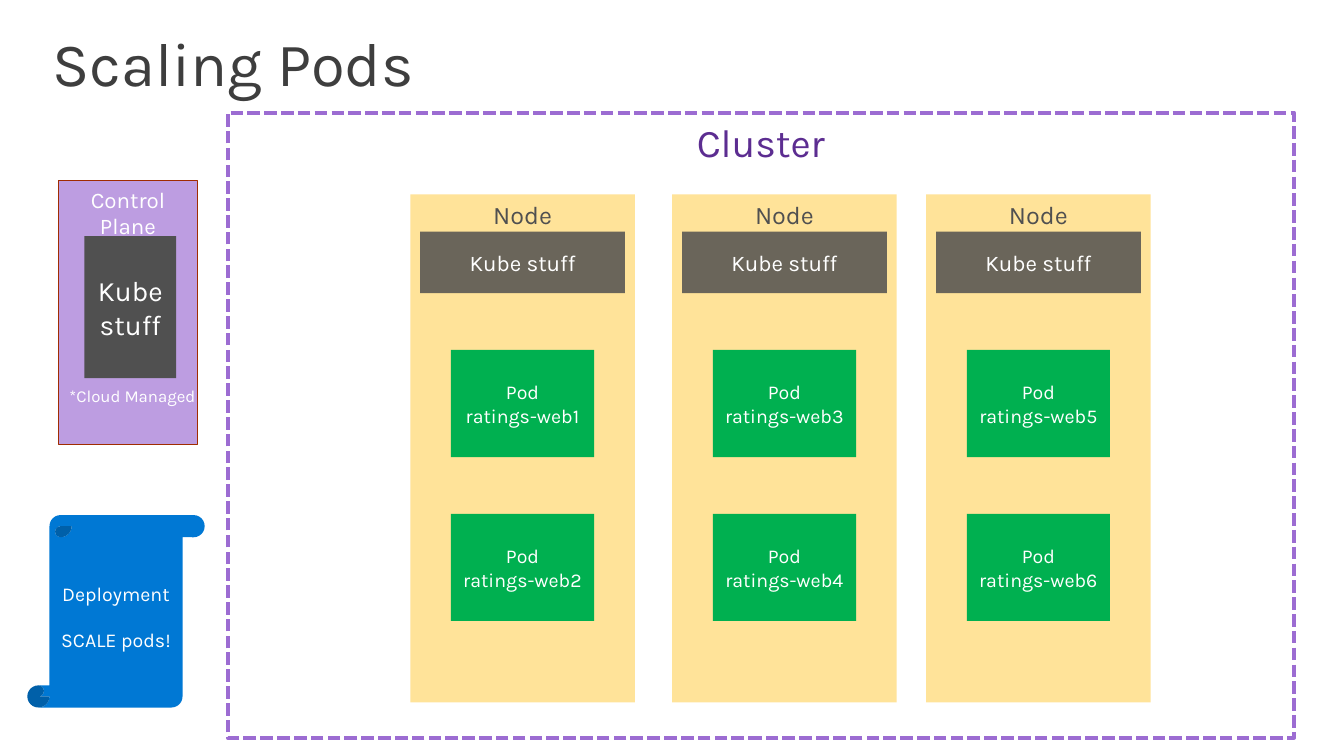
import pptx
import pptx.dml.color
import pptx.enum.dml
import pptx.enum.shapes
import pptx.enum.text
import pptx.oxml
import pptx.oxml.ns
import pptx.util

Cm, Pt = pptx.util.Cm, pptx.util.Pt
SHAPE = pptx.enum.shapes.MSO_SHAPE
ANCHOR = pptx.enum.text.MSO_ANCHOR
ALIGN = pptx.enum.text.PP_ALIGN

# Content
TITLE = "Scaling Pods"
CLUSTER = "Cluster"
CONTROL_PLANE = "Control Plane"
KUBE = "Kube stuff"
MANAGED = "*Cloud Managed"
NODE = "Node"
DEPLOYMENT = ["Deployment", "SCALE pods!"]
NODE_PODS = [
    ["ratings-web1", "ratings-web2"],
    ["ratings-web3", "ratings-web4"],
    ["ratings-web5", "ratings-web6"],
]

COLORS = {
    "title": "3E3E3E", "white": "FFFFFF", "gray": "505050",
    "plane": "BD9DE1", "plane_line": "A02C01",
    "cluster_line": "9C6CD2", "cluster_text": "5C2D91",
    "node": "FFE399", "pod": "00B050", "deployment": "0078D4",
}

# Layout in centimetres
NODE_LEFTS = [10.34, 16.94, 23.34]
NODE_TOP, NODE_WIDTH, NODE_HEIGHT = 4.9, 5.66, 12.8
KUBE_TOP, KUBE_WIDTH, KUBE_HEIGHT = 5.84, 5.16, 1.55
POD_TOP, POD_STEP, POD_WIDTH, POD_HEIGHT = 8.82, 4.13, 3.61, 2.7

presentation = pptx.Presentation()
presentation.slide_width, presentation.slide_height = Cm(33.87), Cm(19.05)
slide = presentation.slides.add_slide(presentation.slide_layouts[6])


def rgb(name):
    return pptx.dml.color.RGBColor.from_string(COLORS[name])


def write_text(shape, lines, size, color, align=ALIGN.CENTER, anchor=ANCHOR.TOP,
               insets=(0, 0.13), spacing=None, gap=0):
    frame = shape.text_frame
    horizontal, vertical = map(Cm, insets)
    frame_format = {
        "word_wrap": True, "vertical_anchor": anchor,
        "margin_left": horizontal, "margin_right": horizontal,
        "margin_top": vertical, "margin_bottom": vertical,
    }
    for name, value in frame_format.items():
        setattr(frame, name, value)
    for index, line in enumerate(lines):
        paragraph = frame.add_paragraph() if index else frame.paragraphs[0]
        paragraph.text = line
        paragraph_format = {"alignment": align, "line_spacing": spacing,
                            "space_before": Pt(gap if index else 0)}
        for name, value in paragraph_format.items():
            setattr(paragraph, name, value)
        for name, value in {"name": "Karla", "size": Pt(size)}.items():
            setattr(paragraph.font, name, value)
        paragraph.font.color.rgb = rgb(color)


def add_block(box, lines, size, fill=None, color="white", line=None,
              line_width=1, kind=SHAPE.RECTANGLE, **text_format):
    shape = slide.shapes.add_shape(kind, *map(Cm, box))
    shape.shadow.inherit = False
    if fill:
        shape.fill.solid()
        shape.fill.fore_color.rgb = rgb(fill)
    else:
        shape.fill.background()
    if line:
        shape.line.color.rgb = rgb(line)
        shape.line.width = Pt(line_width)
    else:
        shape.line.fill.background()
    write_text(shape, lines, size, color, **text_format)
    return shape


def add_label(box, text, size, color, insets):
    label = slide.shapes.add_textbox(*map(Cm, box))
    write_text(label, [text], size, color, align=ALIGN.LEFT, insets=insets, spacing=0.9)


# Title
add_label((1.32, 0.84, 28.96, 1.7), TITLE, 44, "title", (0, 0))

# Control plane
add_block((1.47, 4.55, 3.51, 6.65), [CONTROL_PLANE], 16, "plane",
          line="plane_line", line_width=0.85, insets=(0.25, 0.13))
add_block((2.13, 5.95, 2.31, 3.58), [KUBE], 20, "gray", anchor=ANCHOR.MIDDLE)
add_label((1.24, 9.55, 4.75, 1.27), MANAGED, 12, "white", (0.51, 0.41))

# Cluster frame
cluster = add_block((5.74, 2.84, 26.87, 15.75), [CLUSTER], 28,
                    color="cluster_text", line="cluster_line", line_width=3)
cluster.line.dash_style = pptx.enum.dml.MSO_LINE.SQUARE_DOT

# Nodes with their pods
for node_left, pods in zip(NODE_LEFTS, NODE_PODS):
    add_block((node_left, NODE_TOP, NODE_WIDTH, NODE_HEIGHT), [NODE], 18, "node", "gray")
    kube_left = node_left + (NODE_WIDTH - KUBE_WIDTH) / 2
    kube = add_block((kube_left, KUBE_TOP, KUBE_WIDTH, KUBE_HEIGHT), [KUBE], 16,
                     "gray", anchor=ANCHOR.MIDDLE)
    fill_color = kube.fill.fore_color._xFill.find(pptx.oxml.ns.qn("a:srgbClr")) \
        if hasattr(kube.fill.fore_color, "_xFill") else \
        kube.element.spPr.find(pptx.oxml.ns.qn("a:solidFill"))[0]
    fill_color.append(pptx.oxml.parse_xml(
        f'<a:alpha {pptx.oxml.ns.nsdecls("a")} val="85000"/>'))
    pod_left = node_left + (NODE_WIDTH - POD_WIDTH) / 2
    for row, pod in enumerate(pods):
        add_block((pod_left, POD_TOP + row * POD_STEP, POD_WIDTH, POD_HEIGHT),
                  ["Pod", pod], 14, "pod", anchor=ANCHOR.MIDDLE)

# Deployment scroll
add_block((0.69, 12.98, 4.47, 4.85), DEPLOYMENT, 14, "deployment",
          kind=SHAPE.VERTICAL_SCROLL, anchor=ANCHOR.MIDDLE, gap=16.5)

presentation.save("out.pptx")
